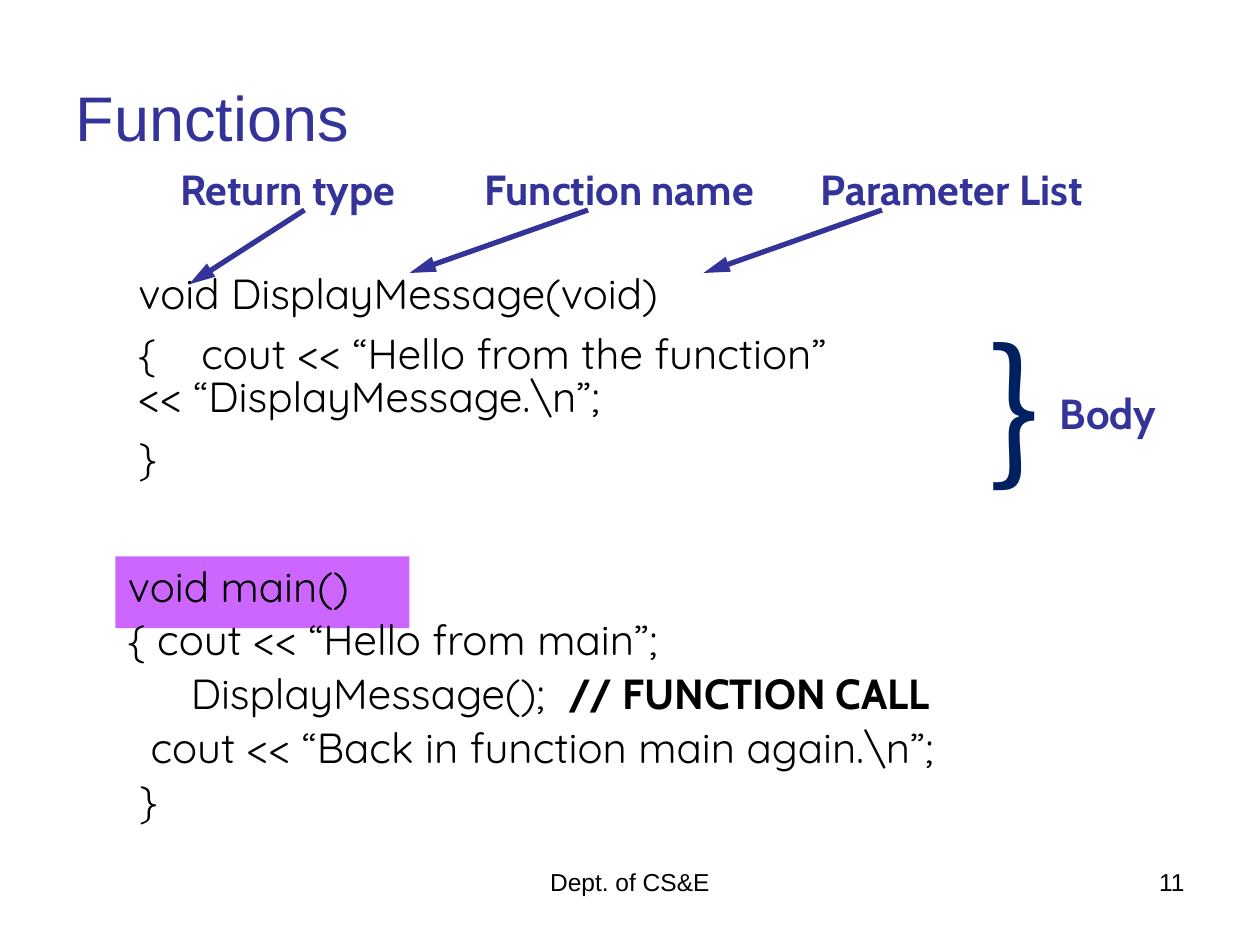
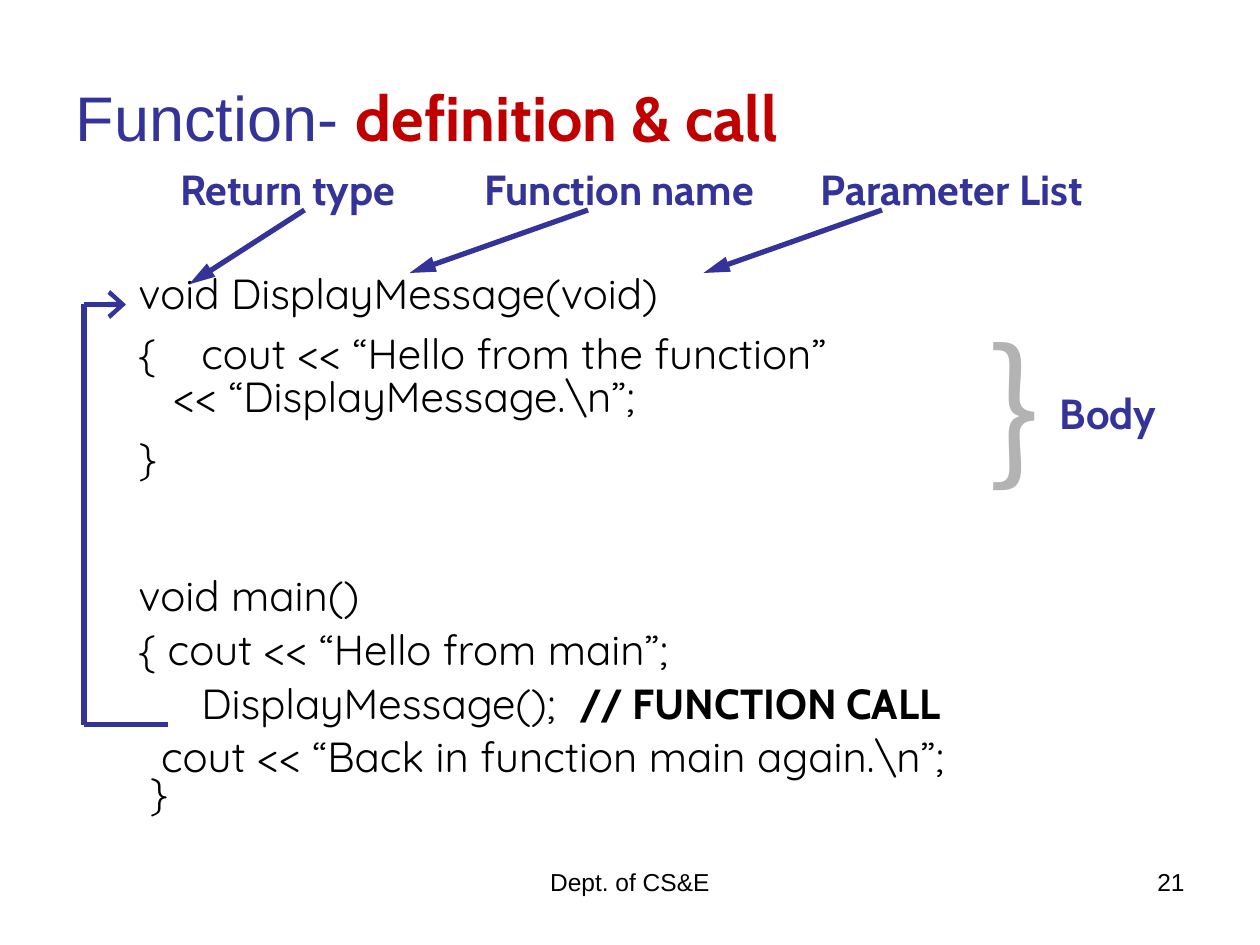
from dataclasses import dataclass
from itertools import pairwise

from lxml.etree import SubElement
from pptx import Presentation
from pptx.dml.color import RGBColor
from pptx.enum.shapes import MSO_CONNECTOR, MSO_SHAPE
from pptx.enum.text import MSO_ANCHOR, MSO_AUTO_SIZE, PP_ALIGN
from pptx.oxml.ns import qn
from pptx.slide import Slide
from pptx.text.text import TextFrame
from pptx.util import Pt

INDIGO = "333399"
BLACK = "000000"
HEADING_FONT = "Arial"
LABEL_FONT = "Cabin"
CODE_FONT = "Quicksand"
BRACE_FONT = "Noto Sans CJK JP"
Point = tuple[float, float]
Box = tuple[float, float, float, float]


@dataclass(frozen=True)
class Span:
    text: str
    font: str = CODE_FONT
    size: float = 24
    color: str = BLACK
    bold: bool = False


@dataclass(frozen=True)
class Line:
    spans: tuple[Span, ...]
    spacing: float = 1.0
    before: float = 0
    indent: float = 0
    tabs: tuple[float, ...] = ()
    align: PP_ALIGN = PP_ALIGN.LEFT


@dataclass(frozen=True)
class Callout:
    text: str
    box: Box
    start: Point
    tip: Point


@dataclass(frozen=True)
class FunctionSlide:
    title: tuple[Span, ...]
    number: str
    brace_color: str
    continuation_indent: float
    main_box: Box
    comment_tab: float
    closing_before: float
    highlight_main: bool = False
    call_route: tuple[Point, ...] = ()


CALLOUTS = (
    Callout("Return type", (96, 90, 186, 36), (174, 120), (108, 162.5)),
    Callout("Function name", (270, 90, 186, 65), (336, 120), (234, 156)),
    Callout("Parameter List", (462, 90, 198, 36), (504, 120), (402, 156)),
)

SLIDES = (
    FunctionSlide(
        title=(Span("Functions", HEADING_FONT, 36, INDIGO),),
        number="11",
        brace_color="002060",
        continuation_indent=0,
        main_box=(66, 324.5, 612, 150.5),
        comment_tab=240,
        closing_before=10.5,
        highlight_main=True,
    ),
    FunctionSlide(
        title=(
            Span("Function- ", HEADING_FONT, 36, INDIGO),
            Span("definition & call", LABEL_FONT, 36, "C00000", True),
        ),
        number="21",
        brace_color="B3B3B3",
        continuation_indent=20,
        main_box=(72, 330, 606, 140),
        comment_tab=242,
        closing_before=0,
        call_route=((96, 414), (48, 414), (48, 174), (72, 174)),
    ),
)


def paint(target, color: str) -> None:
    target.rgb = RGBColor.from_string(color)


def write_lines(frame: TextFrame, lines: tuple[Line, ...]) -> None:
    for position, line in enumerate(lines):
        paragraph = frame.add_paragraph() if position else frame.paragraphs[0]
        paragraph.alignment = line.align
        paragraph.line_spacing = line.spacing
        paragraph.space_before = Pt(line.before)
        properties = paragraph._p.get_or_add_pPr()
        properties.set("marL", str(Pt(line.indent)))
        properties.set("indent", "0")
        if line.tabs:
            stops = SubElement(properties, qn("a:tabLst"))
            for stop in line.tabs:
                SubElement(stops, qn("a:tab"), pos=str(Pt(stop)), algn="l")
        for span in line.spans:
            run = paragraph.add_run()
            run.text = span.text
            run.font.name = span.font
            run.font.size = Pt(span.size)
            run.font.bold = span.bold
            paint(run.font.color, span.color)


def add_lines(slide: Slide, box: Box, *lines: Line) -> None:
    frame = slide.shapes.add_textbox(*map(Pt, box)).text_frame
    frame.word_wrap = True
    write_lines(frame, lines)


def add_text(slide: Slide, text: str, box: Box, *, font: str = LABEL_FONT,
             size: float = 24, color: str = INDIGO, bold: bool = False,
             indent: float = 0, align: PP_ALIGN = PP_ALIGN.LEFT) -> None:
    span = Span(text, font, size, color, bold)
    add_lines(slide, box, Line((span,), indent=indent, align=align))


def add_line(slide: Slide, start: Point, end: Point, head: str = "none",
             width: str = "med", length: str = "med") -> None:
    connector = slide.shapes.add_connector(
        MSO_CONNECTOR.STRAIGHT, *map(Pt, (*start, *end)))
    connector.line.width = Pt(3)
    paint(connector.line.color, INDIGO)
    SubElement(connector.line._get_or_add_ln(), qn("a:tailEnd"),
               type=head, w=width, len=length)
    SubElement(connector._element.spPr, qn("a:effectLst"))


def add_title(slide: Slide, spans: tuple[Span, ...]) -> None:
    title = slide.shapes.title
    title.left, title.top, title.width, title.height = map(Pt, (36, 21.6, 648, 90))
    title.text_frame.auto_size = MSO_AUTO_SIZE.NONE
    title.text_frame.vertical_anchor = MSO_ANCHOR.MIDDLE
    write_lines(title.text_frame, (Line(spans),))


def add_footer(slide: Slide, number: str) -> None:
    for text, box, align in (
        ("Dept. of CS&E", (246, 492, 228, 37.5), PP_ALIGN.CENTER),
        (number, (516, 492, 168, 37.5), PP_ALIGN.RIGHT),
    ):
        add_text(slide, text, box, font=HEADING_FONT, size=14, color=BLACK, align=align)


def add_highlight(slide: Slide) -> None:
    highlight = slide.shapes.add_shape(
        MSO_SHAPE.RECTANGLE, *map(Pt, (66, 318, 168, 41)))
    highlight.shadow.inherit = False
    highlight.fill.solid()
    paint(highlight.fill.fore_color, "CC66FF")
    highlight.line.fill.background()


def add_definition(slide: Slide, content: FunctionSlide) -> None:
    add_lines(
        slide, (72, 156, 612, 123),
        Line((Span("void DisplayMessage(void)"),), 0.75, 10.5),
        Line((Span("{\tcout << “Hello from the function”"),), 0.85, 10.5, tabs=(29.7,)),
        Line((Span("<< “DisplayMessage.\\n”;"),), 0.85, 0, content.continuation_indent),
        Line((Span("}"),), 0.85, 10.5),
    )
    for callout in CALLOUTS:
        add_text(slide, callout.text, callout.box, bold=True)
        add_line(slide, callout.start, callout.tip, "triangle", length="lg")
    add_text(slide, "}", (558, 174, 66, 113), font=BRACE_FONT, size=88,
             color=content.brace_color)
    add_text(slide, "Body", (582, 218, 96, 36), bold=True, indent=16.5)


def add_main(slide: Slide, content: FunctionSlide) -> None:
    comment = Span("// FUNCTION CALL", LABEL_FONT, bold=True)
    add_lines(
        slide, content.main_box,
        Line((Span("void main()"),), 0.7, 10.5),
        Line((Span("{ cout << “Hello from main”;"),), 0.7, 10.5),
        Line((Span("\tDisplayMessage();\t"), comment), 0.7, 10.5,
             tabs=(20, content.comment_tab)),
        Line((Span("cout << “Back in function main again.\\n”;"),), 0.7, 10.5, 13),
        Line((Span("}"),), 0.7, content.closing_before, 6.5),
    )


def add_call_route(slide: Slide, route: tuple[Point, ...]) -> None:
    for start, end in pairwise(route):
        if end == route[-1]:
            add_line(slide, start, end, "arrow", width="lg")
        else:
            add_line(slide, start, end)


def main() -> None:
    deck = Presentation()
    deck.slide_width, deck.slide_height = Pt(720), Pt(540)
    for content in SLIDES:
        slide = deck.slides.add_slide(deck.slide_layouts[5])
        add_title(slide, content.title)
        add_footer(slide, content.number)
        if content.highlight_main:
            add_highlight(slide)
        add_definition(slide, content)
        add_main(slide, content)
        add_call_route(slide, content.call_route)
    deck.save("out.pptx")


if __name__ == "__main__":
    main()
